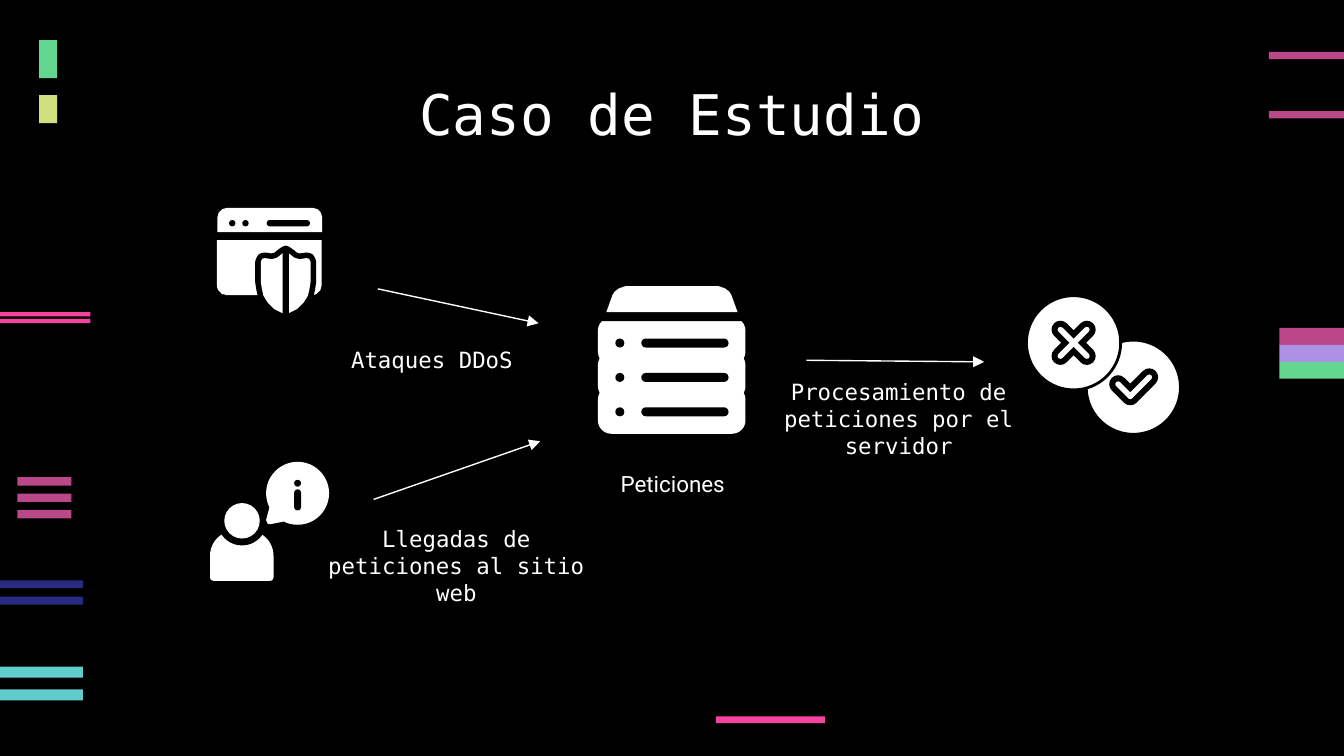
from pptx import Presentation, util as u
from pptx.dml.color import RGBColor
from pptx.enum import shapes, text
from pptx.oxml.ns import qn
from lxml import etree

WHITE, BLACK = "FFFFFF", "000000"
MONO = "DejaVu Sans Mono"
RECT, OVAL = shapes.MSO_SHAPE.RECTANGLE, shapes.MSO_SHAPE.OVAL
ROUNDED = shapes.MSO_SHAPE.ROUNDED_RECTANGLE
TWO_ROUNDED = shapes.MSO_SHAPE.ROUND_2_SAME_RECTANGLE


def color(value):
    return RGBColor.from_string(value)


class SlideBuilder:
    """Holds the style and the slide, and adds elements measured in centimetres."""

    def __init__(self, slide):
        self.slide = slide
        self.font = MONO
        background = slide.background.fill
        background.solid()
        background.fore_color.rgb = color(BLACK)

    def paint(self, shape, fill, outline=0):
        shape.shadow.inherit = False
        shape.fill.solid()
        shape.fill.fore_color.rgb = color(fill)
        if outline:
            shape.line.color.rgb = color(BLACK)
            shape.line.width = u.Pt(outline)
        else:
            shape.line.fill.background()

    def shape(self, kind, left, top, width, height, fill=WHITE, adjust=(), outline=0):
        shape = self.slide.shapes.add_shape(
            kind, u.Cm(left), u.Cm(top), u.Cm(width), u.Cm(height))
        for index, value in enumerate(adjust):
            shape.adjustments[index] = value
        self.paint(shape, fill, outline)

    def dot(self, left, top, size, fill=WHITE, outline=0):
        self.shape(OVAL, left, top, size, size, fill, outline=outline)

    def pill(self, left, top, width, height):
        self.shape(ROUNDED, left, top, width, height, BLACK, (0.5,))

    def polygon(self, points, outline=0):
        start, *rest = [(u.Cm(x), u.Cm(y)) for x, y in points]
        builder = self.slide.shapes.build_freeform(*start)
        builder.add_line_segments(rest, close=True)
        self.paint(builder.convert_to_shape(), WHITE, outline)

    def symmetric(self, center, half, outline=0):
        right = [(center + x, y) for x, y in half]
        left = [(center - x, y) for x, y in reversed(half)]
        self.polygon(right + left, outline)

    def line(self, start, end, stroke=WHITE, width=0.75, arrow=False):
        connector = self.slide.shapes.add_connector(
            shapes.MSO_CONNECTOR.STRAIGHT, *(u.Cm(value) for value in (*start, *end)))
        connector.line.color.rgb = color(stroke)
        connector.line.width = u.Pt(width)
        properties = connector._element.spPr
        outline = properties.find(qn("a:ln"))
        if arrow:
            etree.SubElement(outline, qn("a:tailEnd"), type="triangle")
        else:
            outline.set("cap", "rnd")
        etree.SubElement(properties, qn("a:effectLst"))

    def mark(self, segments):
        for stroke, width in ((BLACK, 9.5), (WHITE, 3)):
            for start, end in segments:
                self.line(start, end, stroke, width)

    def text(self, words, left, top, width=5.77, height=1.55, size=12, font=None,
             anchor=text.MSO_ANCHOR.MIDDLE):
        frame = self.slide.shapes.add_textbox(
            u.Cm(left), u.Cm(top), u.Cm(width), u.Cm(height)).text_frame
        frame.word_wrap = True
        frame.vertical_anchor = anchor
        frame.margin_left = frame.margin_right = u.Cm(0.25)
        frame.margin_top = frame.margin_bottom = u.Cm(0.25)
        paragraph = frame.paragraphs[0]
        paragraph.text = words
        paragraph.alignment = text.PP_ALIGN.CENTER
        paragraph.font.size = u.Pt(size)
        paragraph.font.name = font or self.font
        paragraph.font.color.rgb = color(WHITE)

    def stripes(self, left, top, width, height, step, fills):
        for index, fill in enumerate(fills):
            self.shape(RECT, left, top + index * step, width, height, fill)

    def shielded_browser(self):
        self.shape(TWO_ROUNDED, 4.11, 3.93, 1.98, 0.46, adjust=(0.39, 0))
        self.shape(TWO_ROUNDED, 4.1, 4.54, 1.98, 1.04, adjust=(0, 0.18))
        for left in (4.33, 4.58):
            self.dot(left, 4.16, 0.12, BLACK)
        self.pill(5.04, 4.16, 0.82, 0.12)
        shield = [(0, 4.75), (0.06, 4.79), (0.16, 4.87), (0.26, 4.9), (0.39, 4.88),
                  (0.44, 4.89), (0.47, 4.95), (0.47, 5.33), (0.45, 5.46), (0.42, 5.59),
                  (0.34, 5.72), (0.22, 5.84), (0.06, 5.92), (0, 5.93)]
        for outline in (6, 0):
            self.symmetric(5.4, shield, outline)
        self.shape(RECT, 5.34, 4.7, 0.12, 1.3, BLACK)

    def server(self):
        lid = [(0.88, 5.41), (1, 5.45), (1.08, 5.51), (1.12, 5.57), (1.24, 5.9)]
        for index in range(3):
            offset = index * 0.65
            self.shape(ROUNDED, 11.3, 6 + offset, 2.79, 0.9, adjust=(0.28,))
        for index in range(3):
            offset = index * 0.65
            self.dot(11.63, 6.4 + offset, 0.17, BLACK)
            self.pill(12.12, 6.4 + offset, 1.65, 0.17)
        self.shape(RECT, 11.3, 5.9, 2.79, 0.17, BLACK)
        self.symmetric(12.7, lid)

    def visitor(self):
        self.shape(TWO_ROUNDED, 3.97, 10.03, 1.2, 0.95, adjust=(0.5, 0.07))
        self.dot(4.11, 9.38, 0.93, BLACK)
        self.dot(4.24, 9.51, 0.67)
        self.dot(5.03, 8.73, 1.19)
        self.polygon([(5.11, 9.53), (5.03, 9.83), (5.06, 9.9), (5.11, 9.91), (5.36, 9.86)])
        self.dot(5.56, 9.07, 0.13, BLACK)
        self.pill(5.56, 9.25, 0.13, 0.4)

    def outcomes(self):
        self.dot(20.53, 6.43, 1.78, outline=1.5)
        corner = (21.36, 7.49)
        self.mark([((21.13, 7.26), corner), (corner, (21.72, 7.13))])
        self.dot(19.4, 5.59, 1.78, outline=1.5)
        x, y, arm = 20.29, 6.48, 0.25
        self.mark([((x - arm, y - arm), (x + arm, y + arm)),
                   ((x - arm, y + arm), (x + arm, y - arm))])


def main():
    presentation = Presentation()
    presentation.slide_width, presentation.slide_height = u.Cm(25.4), u.Cm(14.29)
    builder = SlideBuilder(presentation.slides.add_slide(presentation.slide_layouts[6]))

    for stack in (
        (0.33, 9.02, 1.02, 0.16, 0.31, ["BA4888"] * 3),
        (23.98, 0.98, 1.42, 0.14, 1.12, ["BA4888"] * 2),
        (13.53, 13.54, 2.06, 0.13, 0, ["F6439D"]),
        (0, 12.6, 1.57, 0.21, 0.43, ["60CCCB"] * 2),
        (24.18, 6.2, 1.22, 0.32, 0.32, ["BA4888", "AC91E5", "63D790"]),
        (0.74, 0.76, 0.34, 0.72, 0, ["63D790"]),
        (0.74, 1.8, 0.34, 0.53, 0, ["D0DF7E"]),
        (0, 5.9, 1.71, 0.08, 0.13, ["F6439D"] * 2),
        (0, 10.97, 1.57, 0.15, 0.31, ["272B82"] * 2),
    ):
        builder.stripes(*stack)

    builder.text("Caso de Estudio", 2, 1.25, 21.4, 1.6, 30, anchor=text.MSO_ANCHOR.TOP)
    builder.shielded_browser()
    builder.server()
    builder.visitor()
    for start, end in (
        ((7.14, 5.46), (10.18, 6.11)),
        ((7.06, 9.44), (10.21, 8.34)),
        ((15.24, 6.81), (18.6, 6.84)),
    ):
        builder.line(start, end, arrow=True)
    builder.outcomes()

    builder.text("Llegadas de peticiones al sitio web", 5.74, 9.91)
    builder.text("Ataques DDoS", 5.28, 6.02)
    builder.text("Procesamiento de peticiones por el servidor", 14.1, 7.14)
    builder.text("Peticiones", 9.83, 8.36, font="Roboto")
    presentation.save("out.pptx")


if __name__ == "__main__":
    main()
